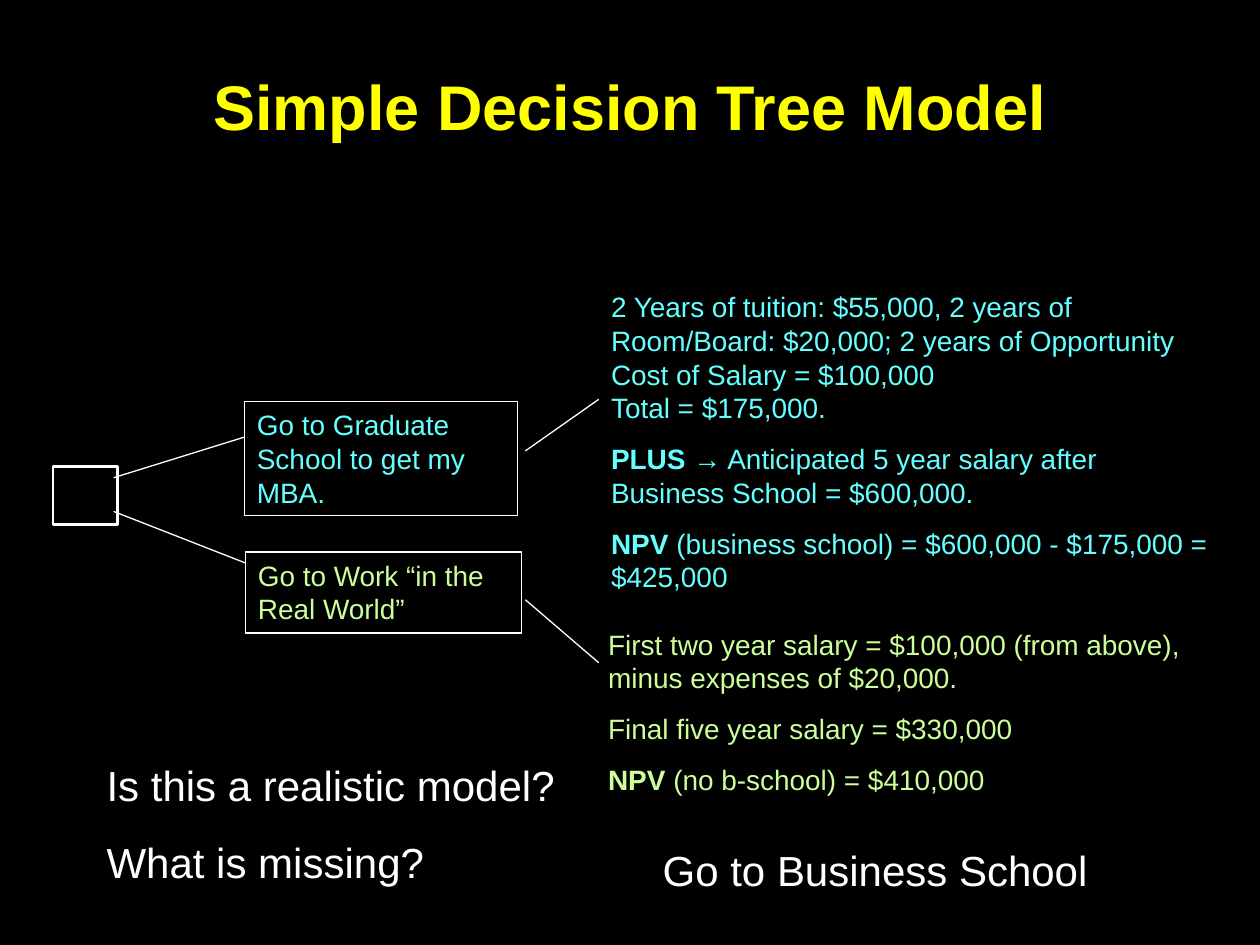
from lxml.etree import SubElement
from pptx import Presentation
from pptx.dml.color import RGBColor
from pptx.enum.shapes import MSO_CONNECTOR as CONNECTOR, MSO_SHAPE as SHAPE
from pptx.enum.text import MSO_ANCHOR as ANCHOR, MSO_AUTO_SIZE as AUTO_SIZE, PP_ALIGN as ALIGN
from pptx.oxml.ns import qn
from pptx.util import Cm, Pt

WHITE, YELLOW, SCHOOL, WORK = "FFFFFF", "FFFF00", "66FFFF", "CCFF99"


def color(hex_code):
    return RGBColor.from_string(hex_code)


def add_text(paragraphs, at, size=16, ink=WHITE, gap=10, align=ALIGN.LEFT,
             anchor=ANCHOR.TOP, grow=True, outline=None):
    box = slide.shapes.add_textbox(*map(Cm, at))
    if outline:
        box.line.color.rgb = color(outline)
        box.line.width = Pt(0.75)
    frame = box.text_frame
    frame.word_wrap = True
    frame.auto_size = AUTO_SIZE.SHAPE_TO_FIT_TEXT if grow else AUTO_SIZE.NONE
    frame.vertical_anchor = anchor
    for index, (bold_lead, plain) in enumerate(paragraphs):
        paragraph = frame.add_paragraph() if index else frame.paragraphs[0]
        paragraph.alignment = align
        paragraph.space_before = Pt(gap if index else 0)
        for line_number, line in enumerate(plain.split("\n")):
            if line_number:
                paragraph.add_line_break()
            for words, bold in (("" if line_number else bold_lead, True), (line, False)):
                if words:
                    run = paragraph.add_run()
                    run.text = words
                    run.font.name = "Arial"
                    run.font.size = Pt(size)
                    run.font.bold = bold
                    run.font.color.rgb = color(ink)
        for line_break in paragraph._p.findall(qn("a:br")):
            SubElement(line_break, qn("a:rPr"), sz=str(size * 100))


presentation = Presentation()
presentation.slide_width, presentation.slide_height = Cm(25.4), Cm(19.05)
slide = presentation.slides.add_slide(presentation.slide_layouts[6])
slide.background.fill.solid()
slide.background.fill.fore_color.rgb = color("000000")

add_text([("Simple Decision Tree Model", "")], (1.9, 1.07, 21.6, 2.1), size=36,
         ink=YELLOW, align=ALIGN.CENTER, anchor=ANCHOR.MIDDLE, grow=False)

decision = slide.shapes.add_shape(SHAPE.RECTANGLE, Cm(1.07), Cm(9.4), Cm(1.3), Cm(1.17))
decision.shadow.inherit = False
decision.fill.background()
decision.line.color.rgb = color(WHITE)
decision.line.width = Pt(1.5)

branches = [
    (2.29, 9.63, 4.93, 8.81),
    (2.29, 10.31, 4.95, 11.35),
    (10.59, 9.09, 12.07, 8.05),
    (10.59, 12.09, 12.07, 13.36),
]
for ends in branches:
    branch = slide.shapes.add_connector(CONNECTOR.STRAIGHT, *map(Cm, ends))
    branch.line.color.rgb = color(WHITE)
    branch.line.width = Pt(0.75)
    SubElement(branch._element.spPr, qn("a:effectLst"))

add_text([("", "Go to Graduate School to get my MBA.")],
         (4.93, 8.1, 5.51, 2.29), ink=SCHOOL, outline=WHITE)
add_text([("", "Go to Work “in the Real World”")],
         (4.95, 11.13, 5.56, 1.63), ink=WORK, outline=WHITE)

add_text([
    ("", "2 Years of tuition: $55,000, 2 years of Room/Board: $20,000; "
         "2 years of Opportunity Cost of Salary = $100,000 \nTotal = $175,000."),
    ("PLUS ", "→ Anticipated 5 year salary after Business School = $600,000."),
    ("NPV ", "(business school) = $600,000 - $175,000 = $425,000"),
], (12.07, 5.72, 12.7, 6.38), ink=SCHOOL)
add_text([
    ("", "First two year salary = $100,000 (from above), minus expenses of $20,000."),
    ("", "Final five year salary = $330,000"),
    ("NPV", " (no b-school) = $410,000"),
], (12.01, 12.52, 12.7, 3.68), ink=WORK)

add_text([("", "Is this a realistic model?"), ("", "What is missing?")],
         (1.9, 15.19, 22.02, 2.82), size=24, gap=15)
add_text([("", "Go to Business School")], (13.11, 16.89, 10.59, 1.27), size=24)

presentation.save("out.pptx")
